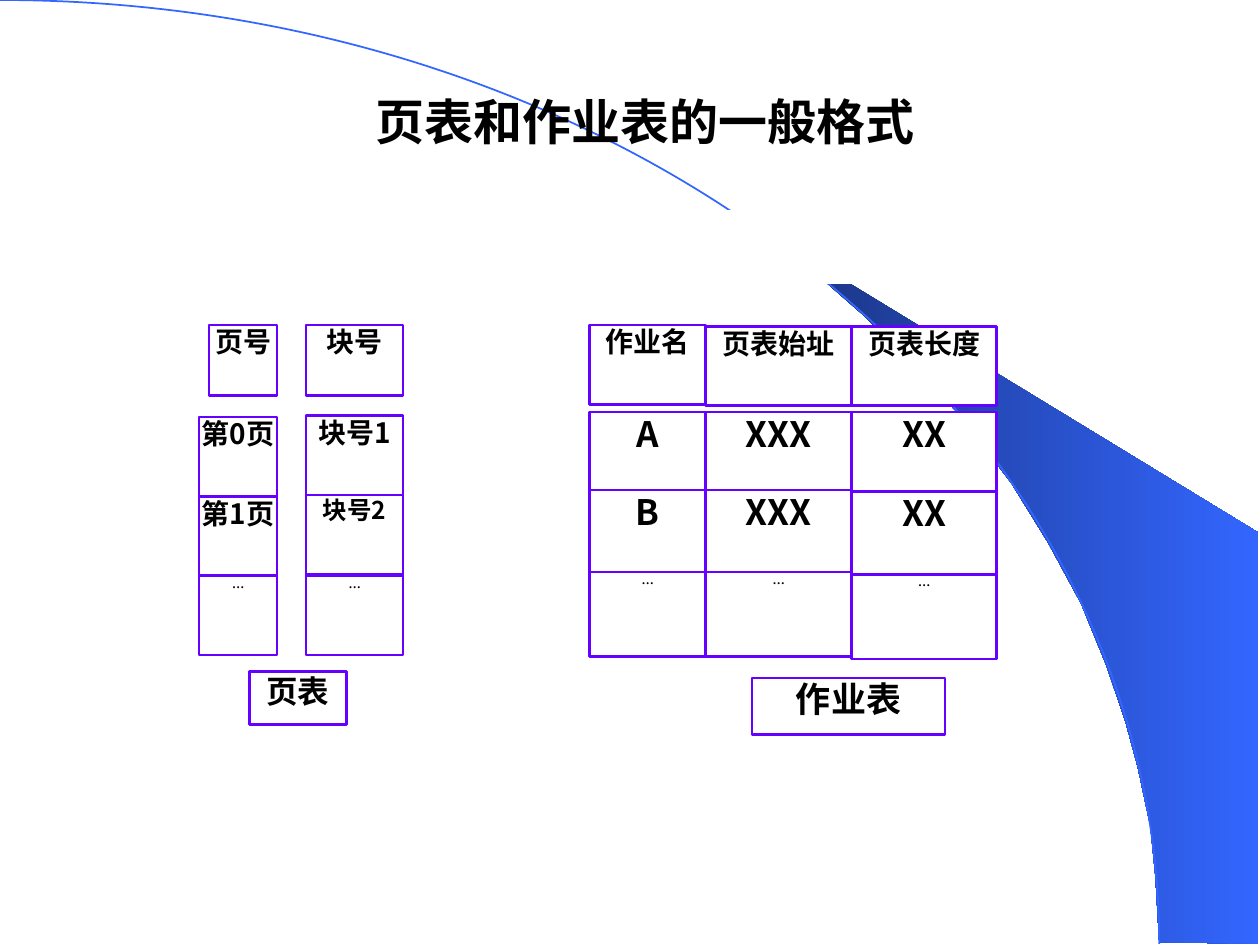
from pptx import Presentation
from pptx.dml.color import RGBColor
from pptx.enum.shapes import MSO_SHAPE
from pptx.enum.text import MSO_ANCHOR, PP_ALIGN
from pptx.oxml import parse_xml
from pptx.oxml.ns import nsdecls, qn
from pptx.util import Inches, Pt

CJK = "Noto Sans CJK JP"
LATIN = "Times New Roman"
BLACK, WHITE, BLUE, NAVY, VIOLET = "000000", "FFFFFF", "3366FF", "182F76", "6600FF"
RIBBON = [
    (9.2, 7.48), (9.99, 7.49), (9.99, 4.23), (5.89, 1.73), (6.24, 1.99),
    (6.53, 2.22), (6.85, 2.5), (7.16, 2.8), (7.62, 3.3), (8.03, 3.84),
    (8.32, 4.31), (8.58, 4.79), (8.78, 5.28), (8.93, 5.72), (9.03, 6.09),
    (9.13, 6.56), (9.17, 6.96), (9.2, 7.48),
]


def colour(value):
    return RGBColor.from_string(value)


def write(frame, text, size, font):
    frame.word_wrap = True
    para = frame.paragraphs[0]
    para.text = text
    para.alignment = PP_ALIGN.CENTER
    para.font.name = font
    para.font.size = Pt(size)
    para.font.bold = True
    para.font.color.rgb = colour(BLACK)
    defaults = para._p.pPr.find(qn("a:defRPr"))
    defaults.append(parse_xml(f'<a:ea {nsdecls("a")} typeface="{font}"/>'))


def add_box(page, left, top, width, height, line=VIOLET, weight=1.5):
    box = page.shapes.add_shape(
        MSO_SHAPE.RECTANGLE, Inches(left), Inches(top), Inches(width), Inches(height))
    box.shadow.inherit = False
    box.fill.solid()
    box.fill.fore_color.rgb = colour(WHITE)
    box.line.color.rgb = colour(line)
    box.line.width = Pt(weight)
    return box


def add_cell(page, left, top, width, height, text, size, font=CJK):
    frame = add_box(page, left, top, width, height).text_frame
    frame.margin_left = frame.margin_right = frame.margin_top = frame.margin_bottom = 0
    frame.vertical_anchor = MSO_ANCHOR.TOP
    write(frame, text, size, font)


def add_outline(page, points):
    left, top = points[0]
    builder = page.shapes.build_freeform(Inches(left), Inches(top))
    builder.add_line_segments(
        [(Inches(x), Inches(y)) for x, y in points[1:]], close=False)
    outline = builder.convert_to_shape()
    outline.shadow.inherit = False
    return outline


def bend(outline, controls):
    segment = next(outline._element.iter(qn("a:lnTo")))
    curve = parse_xml(f'<a:cubicBezTo {nsdecls("a")}/>')
    for x, y in controls:
        curve.append(parse_xml(
            f'<a:pt {nsdecls("a")} x="{Inches(x)}" y="{Inches(y)}"/>'))
    curve.append(segment[0])
    segment.getparent().replace(segment, curve)


def add_swoosh(page, width, height):
    ribbon = add_outline(page, RIBBON)
    ribbon.line.fill.background()
    ribbon.fill.gradient()
    ribbon.fill.gradient_angle = 0
    for stop, value, position in zip(ribbon.fill.gradient_stops, (NAVY, BLUE), (0, 1)):
        stop.color.rgb = colour(value)
        stop.position = position

    arc = add_outline(page, [(0, 0), (width, height)])
    bend(arc, [(5.08, 0), (width, 3.35)])
    arc.fill.background()
    arc.line.color.rgb = colour(BLUE)
    arc.line.width = Pt(1)


def add_title(page, left, top, width, height, text):
    title = page.shapes.title
    title.left, title.top = Inches(left), Inches(top)
    title.width, title.height = Inches(width), Inches(height)
    title.text_frame.vertical_anchor = MSO_ANCHOR.MIDDLE
    write(title.text_frame, text, 28, CJK)
    page.shapes._spTree.append(title._element)


def add_column(page, left, top, width, offsets, heights, entries):
    for offset, height, (text, size) in zip(offsets, heights, entries):
        font = LATIN if text == "…" else CJK
        add_cell(page, left, top + offset, width, height, text, size, font)


def add_page_table(page, left, top):
    add_column(page, left + 0.85, top, 0.77, (0, 0.72, 1.35, 1.99),
               (0.56, 0.63, 0.63, 0.63),
               [("块号", 16), ("块号1", 16), ("块号2", 14), ("…", 7)])
    add_cell(page, left + 0.08, top, 0.54, 0.56, "页号", 16)
    add_column(page, left, top, 0.62, (0.73, 1.36, 1.99), (0.63, 0.63, 0.63),
               [("第0页", 16), ("第1页", 16), ("…", 7)])
    add_cell(page, left + 0.4, top + 2.75, 0.77, 0.42, "页表", 18)


def add_job_table(page, left, top):
    columns = [
        (0.92, (0, 0.69, 1.31, 1.96), "作业名", "A", "B"),
        (1.16, (0.01, 0.69, 1.31, 1.96), "页表始址", "XXX", "XXX"),
        (1.15, (0.01, 0.69, 1.32, 1.98), "页表长度", "XX", "XX"),
    ]
    column_left = left
    for width, offsets, heading, first, second in columns:
        add_column(page, column_left, top, width, offsets, (0.63, 0.63, 0.67, 0.67),
                   [(heading, 16), (first, 20), (second, 20), ("…", 7)])
        column_left += width
    add_cell(page, left + 1.29, top + 2.8, 1.53, 0.45, "作业表", 20)


def main():
    deck = Presentation()
    deck.slide_width, deck.slide_height = Inches(10), Inches(7.5)
    page = deck.slides.add_slide(deck.slide_layouts[5])
    add_swoosh(page, 9.2, 7.49)
    add_title(page, 1.83, 0.67, 6.58, 0.58, "页表和作业表的一般格式")
    add_page_table(page, 1.58, 2.58)
    add_job_table(page, 4.68, 2.58)
    add_box(page, 2.33, 1.67, 4.75, 0.58, WHITE, 0.75)
    deck.save("out.pptx")


if __name__ == "__main__":
    main()
